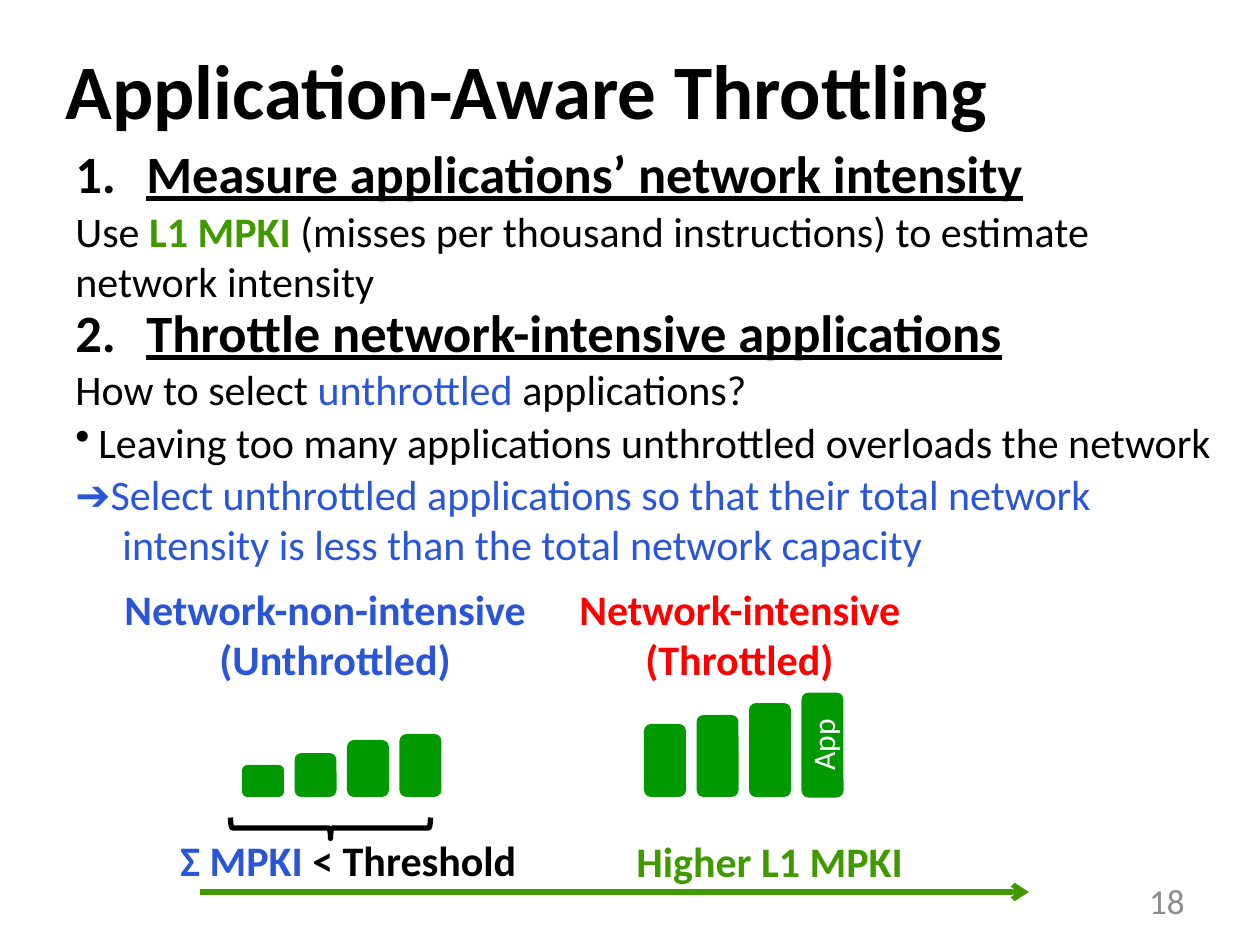
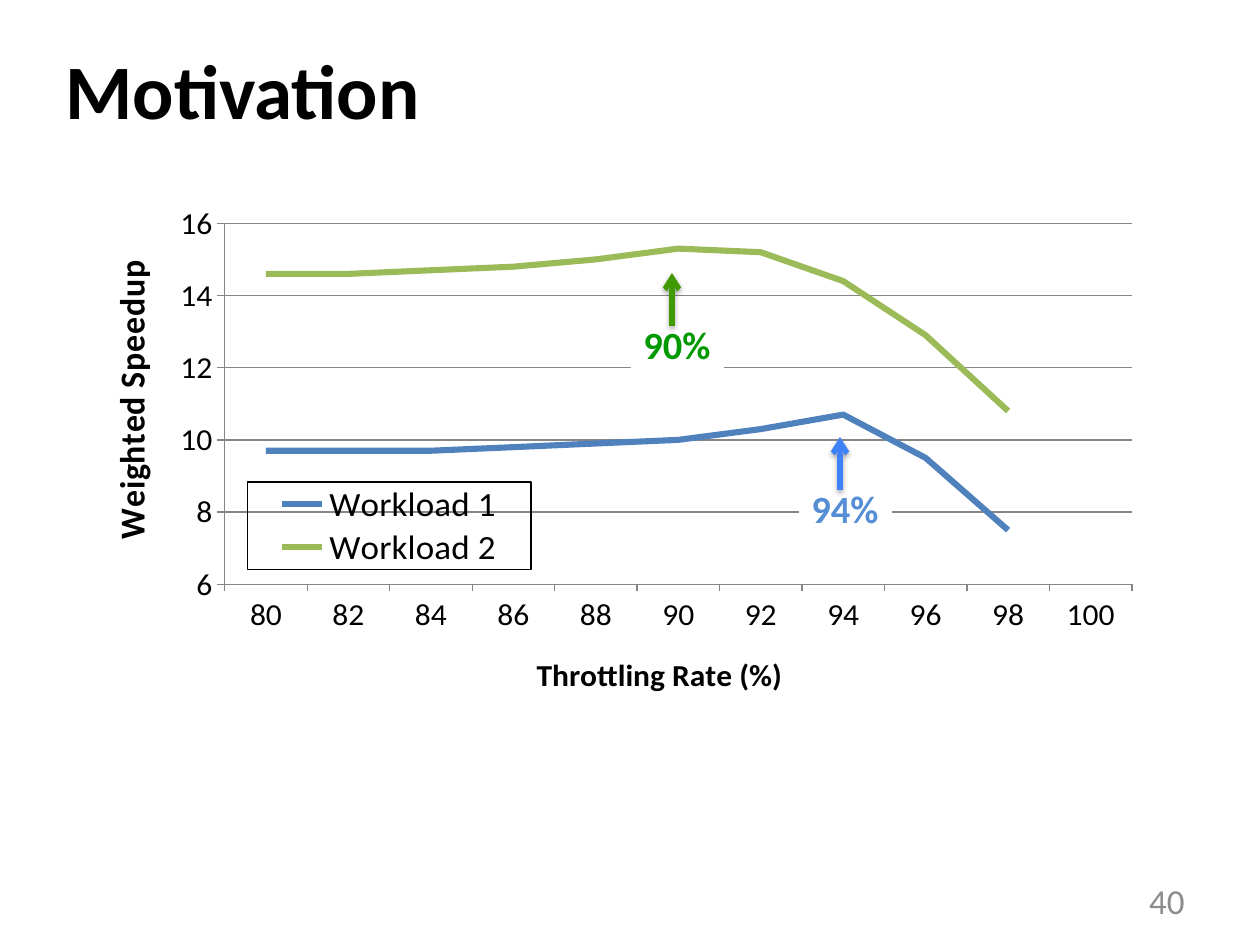
from pptx import Presentation
from pptx.chart.data import CategoryChartData
from pptx.dml.color import RGBColor
from pptx.enum.chart import XL_CHART_TYPE, XL_LEGEND_POSITION, XL_TICK_MARK
from pptx.enum.shapes import MSO_CONNECTOR, MSO_SHAPE
from pptx.enum.text import MSO_ANCHOR, PP_ALIGN
from pptx.oxml import parse_xml
from pptx.oxml.ns import nsdecls, qn
from pptx.util import Emu, Pt

LINE = XL_CHART_TYPE.LINE
RIGHT_KEY = XL_LEGEND_POSITION.RIGHT
TICK = XL_TICK_MARK.OUTSIDE
STRAIGHT = MSO_CONNECTOR.STRAIGHT
RECT = MSO_SHAPE.RECTANGLE
ROUND = MSO_SHAPE.ROUNDED_RECTANGLE
BRACE = MSO_SHAPE.RIGHT_BRACE
MIDDLE = MSO_ANCHOR.MIDDLE
TOP = MSO_ANCHOR.TOP
LEFT, CENTER, RIGHT = PP_ALIGN.LEFT, PP_ALIGN.CENTER, PP_ALIGN.RIGHT

BLACK = RGBColor(0x00, 0x00, 0x00)
WHITE = RGBColor(0xFF, 0xFF, 0xFF)
GRAY = RGBColor(0x8C, 0x8C, 0x8C)
AXIS = RGBColor(0x86, 0x86, 0x86)
BLUE = RGBColor(0x2A, 0x55, 0xD6)
RED = RGBColor(0xFF, 0x00, 0x00)
GREEN = RGBColor(0x41, 0x99, 0x00)
BAR = RGBColor(0x00, 0x99, 0x00)
SKY = RGBColor(0x55, 0x8E, 0xD5)
AZURE = RGBColor(0x3E, 0x82, 0xF7)
NAVY = RGBColor(0x4F, 0x81, 0xBD)
OLIVE = RGBColor(0x9B, 0xBB, 0x59)

FONT = "Calibri"
SHADOW = ('<a:outerShdw blurRad="40000" dist="20000" dir="5400000" rotWithShape="0">'
          '<a:srgbClr val="000000"><a:alpha val="38000"/></a:srgbClr></a:outerShdw>')


def px(n):
    """Turn picture pixels into EMU."""
    return Emu(round(n * 914400 / 126))


def box(*at):
    """Turn left, top, width and height into EMU."""
    return [px(n) for n in at]


def style(font, color, **form):
    """Set colour and format values of a font."""
    form = {"name": FONT, **form}
    for key, val in form.items():
        setattr(font, key, Pt(val) if key == "size" else val)
    font.color.rgb = color


def fill(para, runs, size, align=LEFT, **form):
    """Fill a paragraph with (text, colour, format) runs."""
    para.alignment = align
    for text, color, *more in runs:
        run = para.add_run()
        run.text = text
        style(run.font, color, **{"size": size, **form, **(more[0] if more else {})})


def indent(para, left, first=0, mark=""):
    """Indent a paragraph and give it a bullet element."""
    prop = para._p.get_or_add_pPr()
    prop.set("marL", str(px(left)))
    prop.set("indent", str(px(first)))
    if mark:
        prop.append(parse_xml(f"<a:{mark} {nsdecls('a')}/>"))


def note(slide, at, runs, size=24, anchor=TOP, wrap=True, **form):
    """Add a text box with one paragraph and return its frame."""
    frame = slide.shapes.add_textbox(*box(*at)).text_frame
    frame.word_wrap = wrap
    frame.vertical_anchor = anchor
    fill(frame.paragraphs[0], runs, size, **form)
    return frame


def group(slide, at, color, head, tail, shift):
    """Add a two-line bold heading with a shifted second line."""
    frame = note(slide, at, [(head, color)], bold=True)
    para = frame.add_paragraph()
    fill(para, [(tail, color)], 24, bold=True)
    indent(para, shift)


def shape(slide, kind, at, color=None):
    """Add a shape without shadow or outline."""
    item = slide.shapes.add_shape(kind, *box(*at))
    item.shadow.inherit = False
    item.line.fill.background()
    if color is None:
        item.fill.background()
    else:
        item.fill.solid()
        item.fill.fore_color.rgb = color
    return item


def bars(slide, left, tops):
    """Add a row of rounded bars on the common base line."""
    for i, high in enumerate(tops):
        shape(slide, ROUND, (left + i * 52.5, 797 - high, 42, high), BAR)


def arrow(slide, start, end, color, effect=""):
    """Add a line with an open arrowhead at its end."""
    line = slide.shapes.add_connector(STRAIGHT, *box(*start, *end))
    line.line.color.rgb = color
    line.line.width = Pt(3)
    line.line._get_or_add_ln().append(parse_xml(f'<a:tailEnd {nsdecls("a")} type="arrow"/>'))
    line._element.spPr.append(
        parse_xml(f"<a:effectLst {nsdecls('a')}>{effect}</a:effectLst>"))


def page(deck, title, number):
    """Add a slide with its title and page number."""
    slide = deck.slides.add_slide(deck.slide_layouts[5])
    head = slide.shapes.title
    head.left, head.top, head.width, head.height = box(53, 10, 1134, 158)
    head.text_frame.vertical_anchor = MIDDLE
    fill(head.text_frame.paragraphs[0], [(title, BLACK)], 44, bold=True)
    note(slide, (903, 876, 294, 50), [(number, GRAY)], 20, MIDDLE, align=RIGHT)
    return slide


def steps(slide):
    """Add the two numbered headings."""
    frame = note(slide, (63, 147, 1134, 766), [])
    for i, text in enumerate(["Measure applications\u2019 network intensity",
                              "Throttle network-intensive applications"]):
        para = frame.add_paragraph() if i else frame.paragraphs[0]
        para.line_spacing = 0.8
        para.space_before = Pt(62 * i)
        fill(para, [(text, BLACK)], 30, bold=True, underline=True)
        indent(para, 71, -71, 'buFont typeface="+mj-lt"')
        indent(para, 71, -71, 'buAutoNum type="arabicPeriod"')


def place(node, x, y, w=None, h=None):
    """Give a chart part a manual layout."""
    old = node.find(qn("c:layout"))
    if old is not None:
        node.remove(old)
    inner = '<c:layoutTarget val="inner"/>' if node.tag == qn("c:plotArea") else ""
    size = f'<c:w val="{w}"/><c:h val="{h}"/>' if w else ""
    part = parse_xml(
        f'<c:layout {nsdecls("c")}><c:manualLayout>{inner}<c:xMode val="edge"/>'
        f'<c:yMode val="edge"/><c:x val="{x}"/><c:y val="{y}"/>{size}'
        '</c:manualLayout></c:layout>')
    over = node.find(qn("c:overlay"))
    if over is None:
        node.insert(0, part)
    else:
        over.addprevious(part)


def scale(axis, title, size, spot):
    """Format an axis and its title."""
    axis.major_tick_mark = TICK
    axis.format.line.color.rgb = AXIS
    style(axis.tick_labels.font, BLACK, size=18)
    frame = axis.axis_title.text_frame
    fill(frame.paragraphs[0], [(title, BLACK)], size, CENTER, bold=True)
    place(axis.axis_title._element, *spot)
    return frame


def graph(slide):
    """Add the line chart of speedup against throttling rate."""
    data = CategoryChartData()
    data.categories = [str(n) for n in range(80, 101, 2)]
    data.add_series("Workload 1", [9.7, 9.7, 9.7, 9.8, 9.9, 10, 10.3, 10.7, 9.5, 7.5, None])
    data.add_series("Workload 2", [14.6, 14.6, 14.7, 14.8, 15, 15.3, 15.2, 14.4, 12.9, 10.8, None])
    chart = slide.shapes.add_chart(LINE, *box(32, 199, 1134, 504), data).chart
    chart.has_title = False
    style(chart.font, BLACK, size=10)
    plot = chart.plots[0]
    plot.vary_by_categories = False
    for row, color in zip(plot.series, (NAVY, OLIVE)):
        row.smooth = False
        row.format.line.color.rgb = color
        row.format.line.width = Pt(3.5)
    place(chart._chartSpace.chart.plotArea, 0.17, 0.05, 0.8, 0.74)
    scale(chart.category_axis, "Throttling Rate (%)", 18, (0.44, 0.92))
    axis = chart.value_axis
    frame = scale(axis, "Weighted Speedup", 20, (0.06, 0.13))
    frame._txBody.bodyPr.set("rot", "-5400000")
    frame._txBody.bodyPr.set("vert", "horz")
    axis.minimum_scale, axis.maximum_scale, axis.major_unit = 6, 16, 2
    axis.major_gridlines.format.line.color.rgb = AXIS
    chart.has_legend = True
    key = chart.legend
    key.position = RIGHT_KEY
    key.include_in_layout = True
    style(key.font, BLACK, size=20)
    place(key._element, 0.19, 0.58, 0.25, 0.18)
    key._element.find(qn("c:overlay")).addnext(parse_xml(
        f'<c:spPr {nsdecls("c", "a")}><a:ln w="9525"><a:solidFill>'
        '<a:srgbClr val="000000"/></a:solidFill></a:ln></c:spPr>'))


def peak(slide, left, top, text, color, tint):
    """Mark a curve's peak with a label and an arrow."""
    frame = shape(slide, RECT, (left, top, 93, 59), WHITE).text_frame
    frame.word_wrap = False
    frame.vertical_anchor = TOP
    fill(frame.paragraphs[0], [(text, color)], 22, bold=True)
    arrow(slide, (left + 41, top + 11), (left + 41, top - 42), tint, SHADOW)


def throttle(deck):
    """Build the throttling slide."""
    slide = page(deck, "Application-Aware Throttling", "18")
    steps(slide)
    note(slide, (63, 199, 1061, 115), [
        ("Use ", BLACK), ("L1 MPKI ", GREEN, {"bold": True}),
        ("(misses per thousand instructions) to estimate network intensity", BLACK)])
    note(slide, (63, 357, 1103, 63), [
        ("How to select ", BLACK), ("unthrottled", BLUE), (" applications?", BLACK)])
    frame = note(slide, (63, 410, 1197, 63), [
        ("Leaving too many applications unthrottled overloads the network", BLACK)])
    indent(frame.paragraphs[0], 23, -23, 'buChar char="\u2022"')
    frame = note(slide, (63, 462, 1103, 115), [
        ("\u2794", BLUE, {"name": "Arial"}),
        ("Select unthrottled applications so that their total network "
         "intensity is less than the total network capacity", BLUE)])
    indent(frame.paragraphs[0], 47, -47)
    group(slide, (112, 577, 440, 115), BLUE, "Network-non-intensive", "(Unthrottled)", 95)
    group(slide, (567, 577, 360, 115), RED, "Network-intensive", "(Throttled)", 66)
    bars(slide, 242, (32, 44, 57, 63))
    bars(slide, 644, (73, 82, 94))
    app = shape(slide, ROUND, (770, 724, 105, 42), BAR)
    app.rotation = 270
    app.text_frame.vertical_anchor = MIDDLE
    fill(app.text_frame.paragraphs[0], [("App", WHITE)], 18, CENTER)
    brace = shape(slide, BRACE, (320, 728, 21, 200))
    brace.rotation = 90
    brace.line.color.rgb = BLACK
    brace.line.width = Pt(3)
    note(slide, (168, 828, 364, 63),
         [("\u03a3 MPKI ", BLUE), ("< Threshold", BLACK)], bold=True)
    note(slide, (624, 829, 374, 63), [("Higher L1 MPKI", GREEN)], bold=True)
    arrow(slide, (200, 892), (1029, 892), GREEN)


def motive(deck):
    """Build the motivation slide."""
    slide = page(deck, "Motivation", "40")
    graph(slide)
    peak(slide, 631, 315, "90%", BAR, GREEN)
    peak(slide, 799, 479, "94%", SKY, AZURE)


def main():
    """Build and save the deck."""
    deck = Presentation()
    deck.slide_width, deck.slide_height = box(1260, 945)
    throttle(deck)
    motive(deck)
    deck.save("out.pptx")


main()
